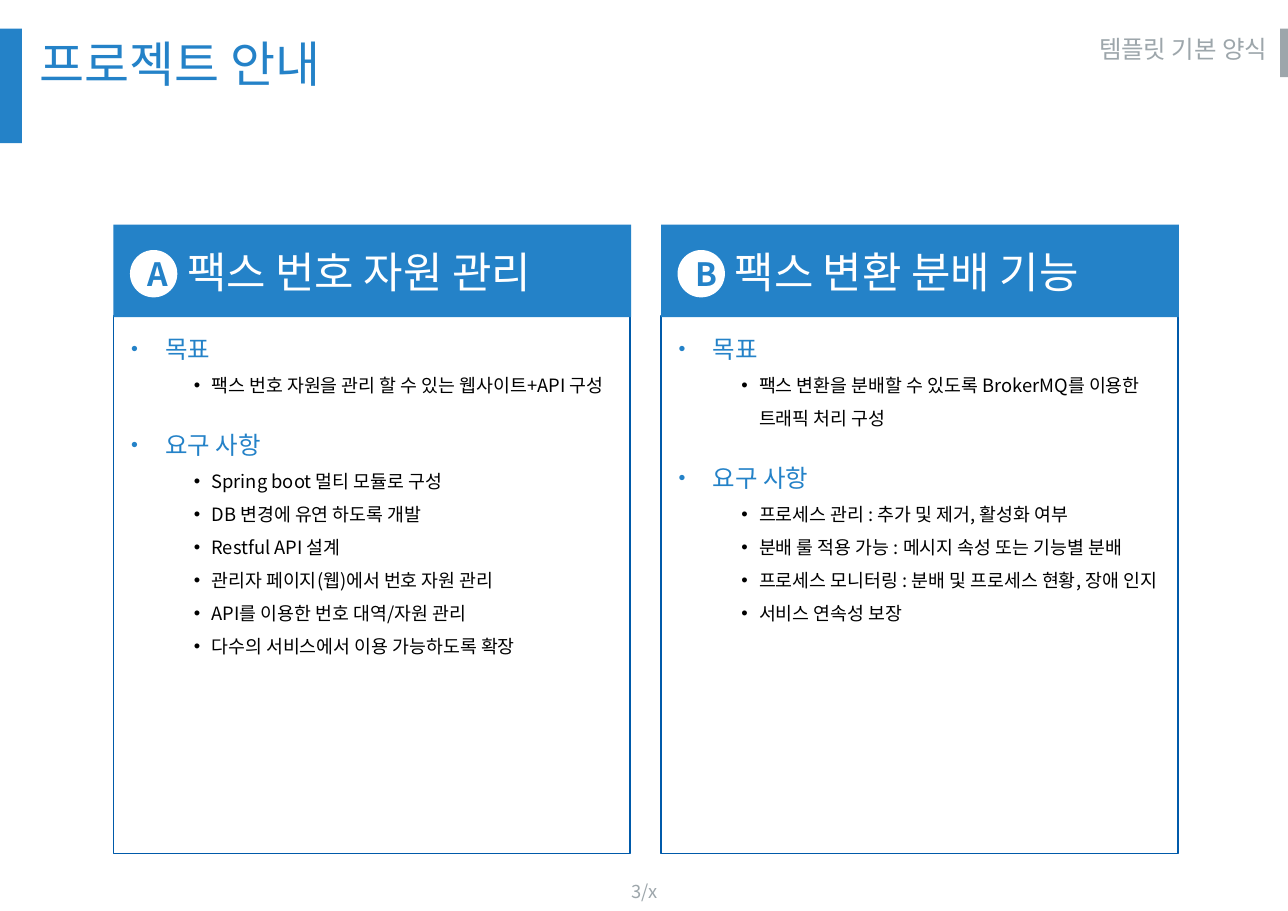
from pptx import Presentation
from pptx.dml.color import RGBColor as Rgb
from pptx.enum.shapes import MSO_SHAPE as Shape
from pptx.enum.text import MSO_ANCHOR as Anchor, PP_ALIGN as Align
from pptx.oxml.ns import qn
from pptx.util import Emu, Pt
from lxml.etree import SubElement

PX = 9144
FONT = "Noto Sans CJK KR"
COLORS = {
    "blue": "2482C8",
    "outline": "005AAA",
    "gray": "9DA6AB",
    "white": "FFFFFF",
    "black": "000000",
}
CARDS = [
    ("A", "팩스 번호 자원 관리", [
        ("목표", ["팩스 번호 자원을 관리 할 수 있는 웹사이트+API 구성"]),
        ("요구 사항", [
            "Spring boot 멀티 모듈로 구성",
            "DB 변경에 유연 하도록 개발",
            "Restful API 설계",
            "관리자 페이지(웹)에서 번호 자원 관리",
            "API를 이용한 번호 대역/자원 관리",
            "다수의 서비스에서 이용 가능하도록 확장",
        ]),
    ]),
    ("B", "팩스 변환 분배 기능", [
        ("목표", ["팩스 변환을 분배할 수 있도록 BrokerMQ를 이용한 트래픽 처리 구성"]),
        ("요구 사항", [
            "프로세스 관리 : 추가 및 제거, 활성화 여부",
            "분배 룰 적용 가능 : 메시지 속성 또는 기능별 분배",
            "프로세스 모니터링 : 분배 및 프로세스 현황, 장애 인지",
            "서비스 연속성 보장",
        ]),
    ]),
]


def px(value):
    return Emu(value * PX)


def color(name):
    return Rgb.from_string(COLORS[name])


def add_box(page, left, top, width, height, fill, line=None, kind=Shape.RECTANGLE):
    box = page.shapes.add_shape(kind, px(left), px(top), px(width), px(height))
    box.shadow.inherit = False
    box.fill.solid()
    box.fill.fore_color.rgb = color(fill)
    if line:
        box.line.color.rgb = color(line)
        box.line.width = Pt(1)
    else:
        box.line.fill.background()
    return box


def add_label(page, left, top, width, height, text, **style):
    box = page.shapes.add_textbox(px(left), px(top), px(width), px(height))
    write(box.text_frame, text, **style)


def write(frame, text, size, ink, bold=False, align=Align.LEFT, anchor=Anchor.TOP,
          level=0, margin=0, indent=0, bullet=None, spacing=None, before=0):
    frame.word_wrap = True
    frame.vertical_anchor = anchor
    para = frame.paragraphs[0] if not frame.text else frame.add_paragraph()
    para.alignment = align
    para.level = level
    para.space_before = Pt(before)
    if spacing:
        para.line_spacing = spacing
    props = para._p.get_or_add_pPr()
    props.set("marL", str(px(margin)))
    props.set("indent", str(px(indent)))
    if bullet:
        SubElement(props, qn("a:buSzPct"), val=f"{bullet}000")
        SubElement(props, qn("a:buFont"), typeface="Arial")
        SubElement(props, qn("a:buChar"), char="•")
    else:
        SubElement(props, qn("a:buNone"))
    span = para.add_run()
    span.text = text
    span.font.size = Pt(size)
    span.font.bold = bold
    span.font.name = FONT
    span.font.color.rgb = color(ink)
    SubElement(span.font._element, qn("a:ea"), typeface=FONT)


def add_frame(page, width):
    add_box(page, 0, 26, 20, 104, "blue")
    add_box(page, width - 7, 26, 7, 44, "gray")
    add_label(page, 26, 26, 870, 70, "프로젝트 안내", size=32, ink="blue")
    add_label(page, width - 257, 26, 248, 44, "템플릿 기본 양식",
              size=16, ink="gray", align=Align.RIGHT)
    add_label(page, 512, 792, 146, 34, "3/x", size=12, ink="gray",
              align=Align.CENTER, anchor=Anchor.MIDDLE)


def add_card(page, left, top, width, height, letter, title, sections):
    body = add_box(page, left, top + 83, width, height - 83, "white", "outline")
    frame = body.text_frame
    frame.margin_left = frame.margin_right = px(16)
    frame.margin_top = frame.margin_bottom = px(16)
    for number, (heading, items) in enumerate(sections):
        write(frame, heading, size=16, ink="blue", margin=31, indent=-31,
              bullet=80, before=22 * number)
        for item in items:
            write(frame, item, size=12, ink="black", level=1, margin=73,
                  indent=-16, bullet=100, spacing=1.5)
    header = add_box(page, left, top, width + 1, 84, "blue")
    write(header.text_frame, title, size=28, ink="white", level=1, margin=57,
          anchor=Anchor.MIDDLE)
    badge = add_box(page, left + 15, top + 23, 43, 43, "white", kind=Shape.OVAL)
    write(badge.text_frame, letter, size=21, ink="blue", bold=True,
          align=Align.CENTER, anchor=Anchor.MIDDLE)


def main():
    deck = Presentation()
    deck.slide_width, deck.slide_height = px(1169), px(827)
    page = deck.slides.add_slide(deck.slide_layouts[6])
    add_frame(page, 1169)
    for column, card in enumerate(CARDS):
        add_card(page, 103 + 497 * column, 204, 469, 571, *card)
    deck.save("out.pptx")


if __name__ == "__main__":
    main()
